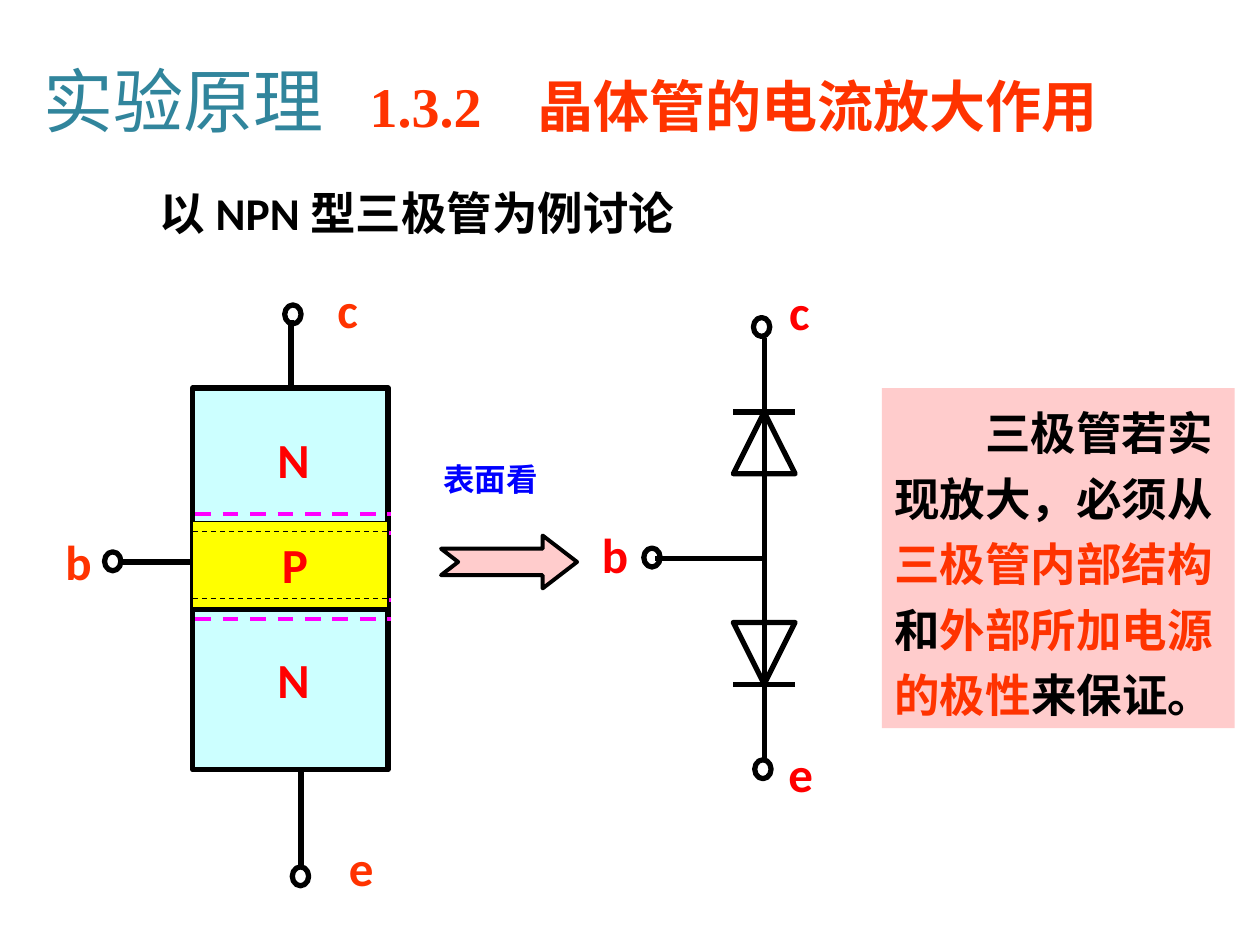
from dataclasses import dataclass

from lxml.etree import SubElement
from pptx import Presentation
from pptx.dml.color import RGBColor
from pptx.enum.dml import MSO_LINE
from pptx.enum.shapes import MSO_CONNECTOR, MSO_SHAPE
from pptx.enum.text import MSO_ANCHOR, PP_ALIGN
from pptx.oxml.ns import qn
from pptx.util import Inches, Pt


@dataclass(frozen=True)
class Theme:
    teal: str = "31859C"
    orange: str = "FF3300"
    red: str = "FF0000"
    blue: str = "0000FF"
    black: str = "000000"
    cyan: str = "CCFFFF"
    yellow: str = "FFFF00"
    pink: str = "FFCCCC"
    magenta: str = "FF00FF"
    body: str = "Calibri"
    serif: str = "Times New Roman"
    cjk: str = "Noto Sans CJK SC"
    title: int = 40
    head: int = 32
    text: int = 26
    label: int = 28
    note: int = 18
    thick: float = 3
    mid: float = 2.25
    thin: float = 0.75


class Board:
    def __init__(self, slide, theme):
        self.slide = slide
        self.theme = theme

    def style(self, para, size, color, font=None, bold=True):
        para.font.size = Pt(size)
        para.font.name = font or self.theme.body
        para.font.bold = bold
        para.font.color.rgb = RGBColor.from_string(color)

    def text(self, words, box, size, color, font=None, bold=True,
             align=PP_ALIGN.LEFT, anchor=MSO_ANCHOR.TOP, wrap=True):
        shape = self.slide.shapes.add_textbox(*map(Inches, box))
        frame = shape.text_frame
        frame.word_wrap = wrap
        frame.vertical_anchor = anchor
        para = frame.paragraphs[0]
        para.text = words
        para.alignment = align
        self.style(para, size, color, font, bold)
        return para

    def mark(self, letter, x, y, width):
        """Centred red letter, placed by its box."""
        self.text(letter, (x, y, width, 0.57), self.theme.label, self.theme.red,
                  align=PP_ALIGN.CENTER, anchor=MSO_ANCHOR.MIDDLE, wrap=False)

    def shape(self, kind, box, fill=None, width=None):
        shape = self.slide.shapes.add_shape(kind, *map(Inches, box))
        shape.shadow.inherit = False
        if fill:
            shape.fill.solid()
            shape.fill.fore_color.rgb = RGBColor.from_string(fill)
        else:
            shape.fill.background()
        if width:
            shape.line.color.rgb = RGBColor.from_string(self.theme.black)
            shape.line.width = Pt(width)
        else:
            shape.line.fill.background()
        return shape

    def node(self, x, y):
        self.shape(MSO_SHAPE.OVAL, (x, y, 0.13, 0.15), width=self.theme.thick)

    def line(self, x1, y1, x2, y2, width=None, color=None, dash=False):
        line = self.slide.shapes.add_connector(
            MSO_CONNECTOR.STRAIGHT, *map(Inches, (x1, y1, x2, y2)))
        line.line.color.rgb = RGBColor.from_string(color or self.theme.black)
        line.line.width = Pt(width or self.theme.thick)
        if dash:
            line.line.dash_style = MSO_LINE.DASH
        SubElement(line._element.spPr, qn("a:effectLst"))

    def diode(self, top, bar, turn=0):
        shape = self.shape(MSO_SHAPE.ISOSCELES_TRIANGLE,
                           (5.82, top, 0.49, 0.49), width=self.theme.thick)
        shape.rotation = turn
        self.line(5.82, bar, 6.31, bar)

    def callout(self, box, fill, parts):
        shape = self.shape(MSO_SHAPE.RECTANGLE, box, fill)
        frame = shape.text_frame
        frame.word_wrap = True
        frame.vertical_anchor = MSO_ANCHOR.TOP
        para = frame.paragraphs[0]
        para.alignment = PP_ALIGN.LEFT
        para.line_spacing = 1.2
        self.style(para, self.theme.text, self.theme.black)
        for words, color in parts:
            run = para.add_run()
            run.text = words
            run.font.color.rgb = RGBColor.from_string(color)


def draw_heads(board):
    t = board.theme
    board.text("实验原理", (0.25, 0.27, 7.66, 1.04), t.title, t.teal, t.cjk,
               bold=False, anchor=MSO_ANCHOR.MIDDLE)
    head = board.text("1.3.2\u3000晶体管的电流放大作用".replace("\u3000", "　"),
                      (2.7, 0.58, 6.25, 0.58), t.head, t.orange, t.serif,
                      align=PP_ALIGN.CENTER)
    head.line_spacing = 0.9
    props = head._p.get_or_add_pPr()
    props.set("marL", str(Inches(1.36)))
    props.set("indent", str(-Inches(1.36)))
    board.text("以 NPN 型三极管为例讨论", (1.17, 1.42, 5.42, 0.53), t.text, t.black,
               align=PP_ALIGN.JUSTIFY)


def draw_layers(board):
    t = board.theme
    left, right = 1.55, 3.1
    board.shape(MSO_SHAPE.RECTANGLE, (1.53, 3.08, 1.55, 3.03), t.cyan, t.thick)
    for y in (4.16, 4.84):
        board.line(left, y, right, y, t.mid)
    for lead in ((2.31, 3.07, 2.31, 2.54), (2.39, 6.12, 2.39, 6.88),
                 (left, 4.46, 0.96, 4.46)):
        board.line(*lead)
    for y in (4.08, 4.23, 4.76, 4.91):
        board.line(left, y, right, y, t.mid, t.magenta, dash=True)
    for spot in ((0.83, 4.38), (2.26, 2.42), (2.32, 6.88)):
        board.node(*spot)
    for y in (3.36, 5.1):
        board.mark("N", 2.09, y, 0.48)
    board.shape(MSO_SHAPE.RECTANGLE, (1.53, 4.14, 1.55, 0.68), t.yellow, t.thin)
    board.mark("P", 2.12, 4.19, 0.44)
    for y in (4.22, 4.75):
        board.line(1.53, y, 3.09, y, t.thin, dash=True)
    for letter, x, y in (("c", 2.58, 2.17), ("e", 2.67, 6.6), ("b", 0.42, 4.17)):
        board.text(letter, (x, y, 0.67, 0.57), t.label, t.orange)


def draw_diodes(board):
    axis = 6.07
    board.line(axis, 2.68, axis, 6.04)
    board.line(axis, 4.43, 5.2, 4.43)
    for spot in ((5.11, 4.35), (5.98, 2.52), (5.99, 6.03)):
        board.node(*spot)
    board.mark("b", 4.67, 4.11, 0.42)
    board.mark("e", 6.16, 5.85, 0.37)
    board.mark("c", 6.16, 2.18, 0.37)
    board.diode(3.27, 3.27)
    board.diode(4.94, 5.43, turn=180)


def draw_notes(board):
    t = board.theme
    arrow = board.shape(MSO_SHAPE.NOTCHED_RIGHT_ARROW, (3.5, 4.25, 1.08, 0.42),
                        t.pink, t.mid)
    arrow.adjustments[0] = 0.5
    arrow.adjustments[1] = 0.65
    board.text("表面看", (3.42, 3.6, 1.58, 0.5), t.note, t.blue)
    board.callout((7, 3.08, 2.8, 2.7), t.pink, (
        ("　　三极管若实现放大，必须从", t.black),
        ("三极管内部结构", t.orange),
        ("和", t.black),
        ("外部所加电源的极性", t.orange),
        ("来保证。", t.black),
    ))


def main():
    deck = Presentation()
    deck.slide_width = Inches(10)
    deck.slide_height = Inches(7.5)
    board = Board(deck.slides.add_slide(deck.slide_layouts[6]), Theme())
    draw_heads(board)
    draw_layers(board)
    draw_diodes(board)
    draw_notes(board)
    deck.save("out.pptx")


if __name__ == "__main__":
    main()
